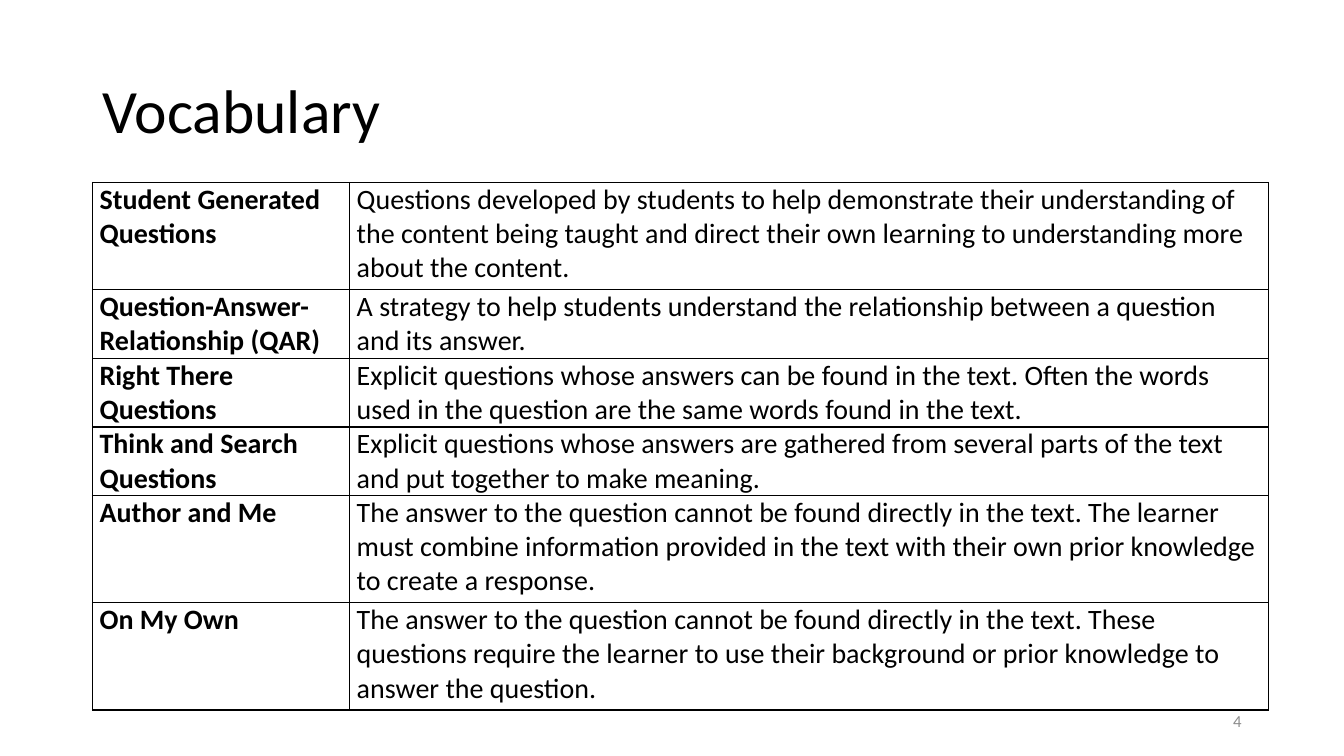
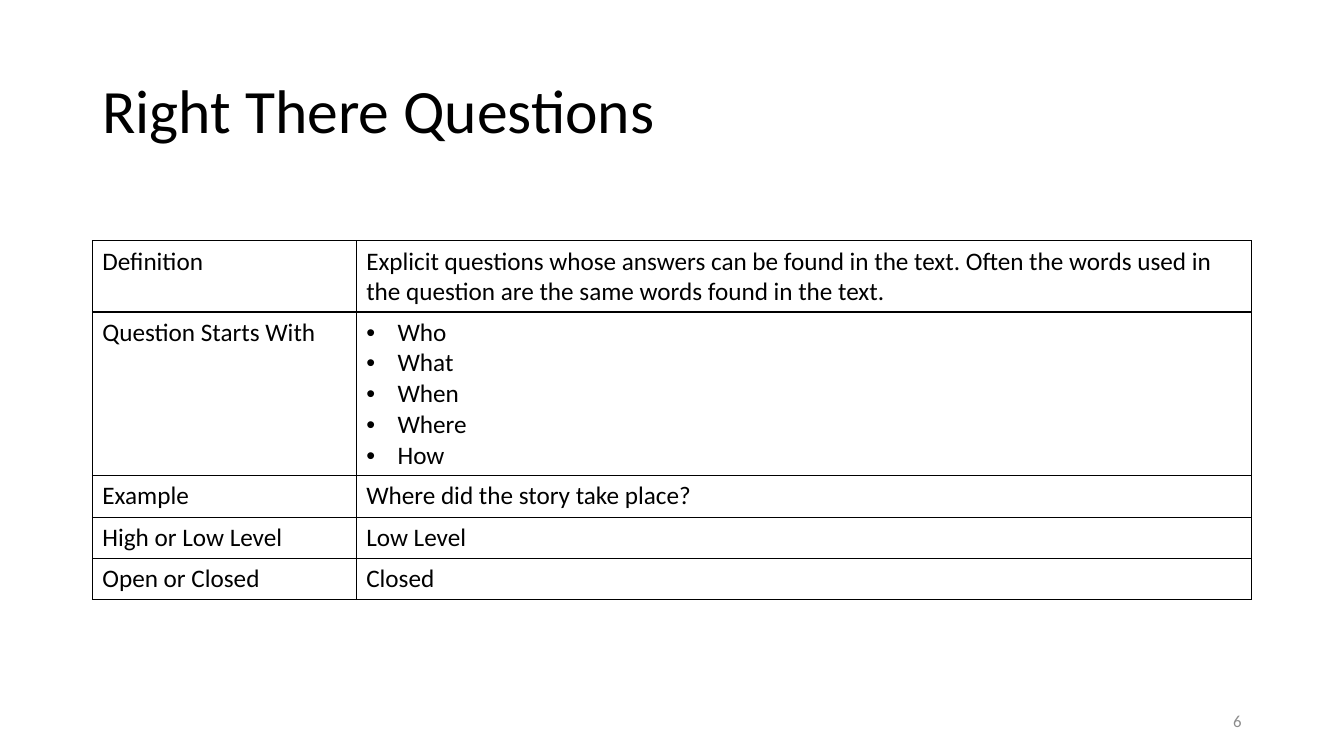
"""Build two vocabulary slides, each with a title, a ruled table and a page number."""
from dataclasses import dataclass

from lxml import etree
from pptx import Presentation
from pptx import util as u
from pptx.dml.color import RGBColor
from pptx.enum import text
from pptx.oxml import ns

INK = RGBColor(0x00, 0x00, 0x00)
PAGE_GREY = RGBColor(0x8C, 0x8C, 0x8C)
FONT = "Calibri"
LEFT = u.Cm(2.33)
TITLE_WIDTH = u.Cm(29.21)
PAGE_WIDTH = u.Cm(7.62)
BULLET_INDENT = u.Cm(0.79)
RULE_WIDTH = u.Pt(1)


@dataclass(frozen=True)
class Entry:
    term: str
    meaning: str | tuple[str, ...]
    height: float


@dataclass(frozen=True)
class TableStyle:
    top: float
    columns: tuple[float, float]
    size: int
    bold_terms: bool
    side_margin: float
    end_margin: float


@dataclass(frozen=True)
class Lesson:
    title: str
    page: int
    style: TableStyle
    entries: tuple[Entry, ...]


LESSONS = (
    Lesson("Vocabulary", 4, TableStyle(4.6, (6.48, 23.16), 20, True, 0.18, 0), (
        Entry("Student Generated Questions",
              "Questions developed by students to help demonstrate their understanding of "
              "the content being taught and direct their own learning to understanding more "
              "about the content.", 2.7),
        Entry("Question-Answer-Relationship (QAR)",
              "A strategy to help students understand the relationship between a question "
              "and its answer.", 1.73),
        Entry("Right There Questions",
              "Explicit questions whose answers can be found in the text. Often the words "
              "used in the question are the same words found in the text.", 1.73),
        Entry("Think and Search Questions",
              "Explicit questions whose answers are gathered from several parts of the text "
              "and put together to make meaning.", 1.73),
        Entry("Author and Me",
              "The answer to the question cannot be found directly in the text. The learner "
              "must combine information provided in the text with their own prior knowledge "
              "to create a response.", 2.7),
        Entry("On My Own",
              "The answer to the question cannot be found directly in the text. These "
              "questions require the learner to use their background or prior knowledge to "
              "answer the question.", 2.7),
    )),
    Lesson("Right There Questions", 6, TableStyle(6.07, (6.65, 22.56), 18, False, 0.25, 0.13), (
        Entry("Definition",
              "Explicit questions whose answers can be found in the text. Often the words "
              "used in the question are the same words found in the text.", 1.79),
        Entry("Question Starts With", ("Who", "What", "When", "Where", "How"), 4.13),
        Entry("Example", "Where did the story take place?", 1.04),
        Entry("High or Low Level", "Low Level", 1.04),
        Entry("Open or Closed", "Closed", 1.04),
    )),
)


def format_runs(frame, size: int, color: RGBColor = INK, bold: bool = False) -> None:
    for paragraph in frame.paragraphs:
        for run in paragraph.runs:
            run.font.name = FONT
            run.font.size = u.Pt(size)
            run.font.bold = bold
            run.font.color.rgb = color


def add_label(slide, wording: str, box: tuple[int, int, int, int], size: int,
              color: RGBColor, align: text.PP_ALIGN, line_spacing: float) -> None:
    frame = slide.shapes.add_textbox(*box).text_frame
    frame.word_wrap = True
    frame.vertical_anchor = text.MSO_ANCHOR.MIDDLE
    frame.text = wording
    frame.paragraphs[0].alignment = align
    frame.paragraphs[0].line_spacing = line_spacing
    format_runs(frame, size, color)


def rule_cell(cell) -> None:
    properties = cell._tc.get_or_add_tcPr()
    for side in ("a:lnL", "a:lnR", "a:lnT", "a:lnB"):
        rule = etree.SubElement(properties, ns.qn(side), w=str(int(RULE_WIDTH)))
        fill = etree.SubElement(rule, ns.qn("a:solidFill"))
        etree.SubElement(fill, ns.qn("a:srgbClr"), val=str(INK))


def add_bullet(paragraph) -> None:
    properties = paragraph._p.get_or_add_pPr()
    properties.set("marL", str(int(BULLET_INDENT)))
    properties.set("indent", str(-int(BULLET_INDENT)))
    etree.SubElement(properties, ns.qn("a:buFont"), typeface="Arial")
    etree.SubElement(properties, ns.qn("a:buChar"), char="•")


def fill_cell(cell, wording: str | tuple[str, ...], style: TableStyle, bold: bool) -> None:
    rule_cell(cell)
    cell.fill.background()
    cell.margin_left = cell.margin_right = u.Cm(style.side_margin)
    cell.margin_top = cell.margin_bottom = u.Cm(style.end_margin)
    frame = cell.text_frame
    if isinstance(wording, tuple):
        frame.text = "\n".join(wording)
        for paragraph in frame.paragraphs:
            add_bullet(paragraph)
    else:
        frame.text = wording
    format_runs(frame, style.size, bold=bold)


def add_entries(slide, entries: tuple[Entry, ...], style: TableStyle) -> None:
    width = u.Cm(sum(style.columns))
    height = u.Cm(sum(entry.height for entry in entries))
    table = slide.shapes.add_table(len(entries), len(style.columns),
                                   LEFT, u.Cm(style.top), width, height).table
    table.first_row = table.horz_banding = False
    for column, column_width in zip(table.columns, style.columns):
        column.width = u.Cm(column_width)
    for index, (row, entry) in enumerate(zip(table.rows, entries)):
        row.height = u.Cm(entry.height)
        fill_cell(table.cell(index, 0), entry.term, style, style.bold_terms)
        fill_cell(table.cell(index, 1), entry.meaning, style, False)


def add_lesson(deck, lesson: Lesson) -> None:
    slide = deck.slides.add_slide(deck.slide_layouts[6])
    add_label(slide, lesson.title, (LEFT, u.Cm(1.01), TITLE_WIDTH, u.Cm(3.68)),
              44, INK, text.PP_ALIGN.LEFT, 0.9)
    add_entries(slide, lesson.entries, lesson.style)
    page_left = LEFT + TITLE_WIDTH - PAGE_WIDTH
    add_label(slide, str(lesson.page), (page_left, u.Cm(17.65), PAGE_WIDTH, u.Cm(1.01)),
              12, PAGE_GREY, text.PP_ALIGN.RIGHT, 1.0)


def main() -> None:
    deck = Presentation()
    deck.slide_width, deck.slide_height = u.Cm(33.87), u.Cm(19.05)
    for lesson in LESSONS:
        add_lesson(deck, lesson)
    deck.save("out.pptx")


if __name__ == "__main__":
    main()
